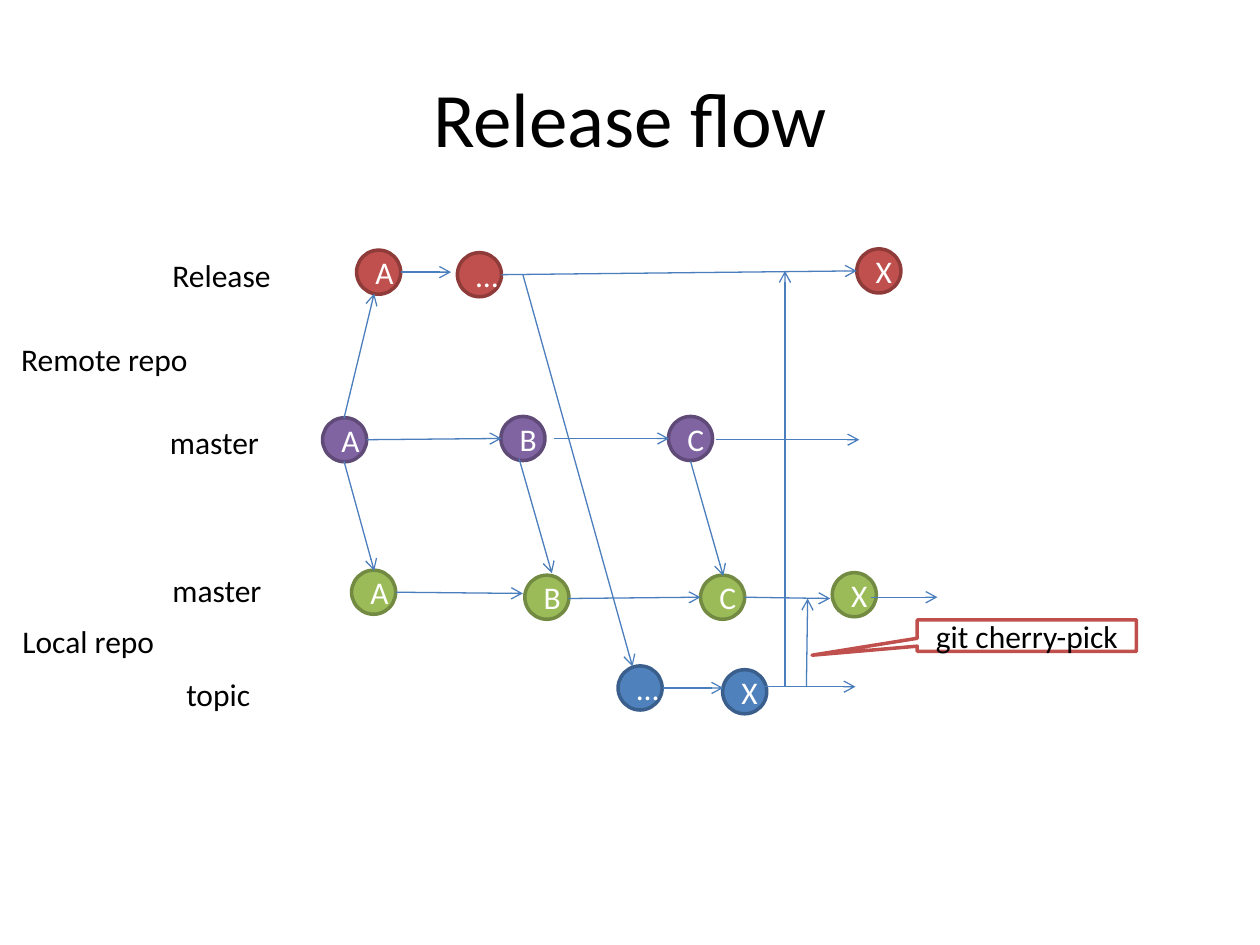
import pptx
import pptx.util
import pptx.dml.color
import pptx.enum.shapes
import pptx.enum.text
import pptx.oxml
import pptx.oxml.ns

# The slide is a grid of 100 columns by 75 rows; all lengths count grid cells
COLUMNS, ROWS = 100, 75
CELL = pptx.util.Inches(0.1)
COMMIT_SIZE = 3.5
FONT = "Calibri"

COLORS = {
    "text": "000000", "commit_text": "FFFFFF", "paper": "FFFFFF",
    "arrow": "4B7EBC",
    "release": "C0504D", "release_edge": "8E3B39",
    "remote": "8064A2", "remote_edge": "5F4A78",
    "local": "9BBB59", "local_edge": "738A42",
    "topic": "4F81BD", "topic_edge": "3A5F8C",
}

# Branch -> commit -> (text, centre column, centre row)
BRANCHES = {
    "release": [("A", 30.05, 21.6), ("…", 38.05, 21.8), ("X", 69.75, 21.5)],
    "remote": [("A", 27.35, 34.9), ("B", 41.5, 34.8), ("C", 54.8, 34.8)],
    "local": [("A", 29.65, 47), ("B", 43.4, 47.4), ("C", 57.35, 47.4),
              ("X", 67.8, 47.2)],
    "topic": [("…", 50.8, 54.6), ("X", 59.1, 54.9)],
}

# Text, left column, top row, width
LABELS = [
    ("Release", 12.7, 19.8, 9.9),
    ("Remote repo", 0.7, 26.5, 15.4),
    ("master", 12.5, 33.1, 9.2),
    ("master", 12.7, 44.8, 9.2),
    ("Local repo", 0.8, 48.9, 12.6),
    ("topic", 13.8, 53.1, 7.1),
]

# Start and end points, grouped by what the arrows show
ARROWS = [
    # Release history
    ((31.8, 21.6), (35.8, 21.6)), ((39.8, 21.8), (68, 21.5)),
    # Remote master history
    ((29.1, 34.9), (39.8, 34.8)), ((44, 34.8), (53.1, 34.8)),
    ((56.8, 34.9), (68.2, 34.9)),
    # Local master history
    ((31.4, 47), (41.5, 47.1)), ((45.1, 47.5), (55.6, 47.4)),
    ((59.1, 47.4), (65.9, 47.5)), ((69.1, 47.4), (74.4, 47.4)),
    # Topic history
    ((52.6, 54.6), (57.4, 54.6)), ((60.1, 54.5), (67.9, 54.5)),
    # Remote master to release and to local master
    ((27.3, 33.2), (29.7, 23.3)), ((27.3, 36.6), (29.7, 45.3)),
    ((41.2, 36.4), (43.8, 45.5)), ((54.8, 36.6), (57.4, 45.7)),
    # Release to topic, then topic back to release and local master
    ((41.5, 21.8), (50.2, 52.9)), ((62.3, 54.5), (62.3, 21.5)),
    ((64, 54.5), (64.1, 47.5)),
]


def cells(*counts):
    return [round(count * CELL) for count in counts]


def color(name):
    return pptx.dml.color.RGBColor.from_string(COLORS[name])


def write(frame, text, ink="text", size=18, centred=True):
    frame.text = text
    paragraph = frame.paragraphs[0]
    paragraph.font.name = FONT
    paragraph.font.size = pptx.util.Pt(size)
    paragraph.font.color.rgb = color(ink)
    if centred:
        paragraph.alignment = pptx.enum.text.PP_ALIGN.CENTER
        frame.vertical_anchor = pptx.enum.text.MSO_ANCHOR.MIDDLE


def add_title(slide, text):
    title = slide.shapes.title
    title.left, title.top, title.width, title.height = cells(5, 3, 90, 12.5)
    write(title.text_frame, text, size=44)


def add_label(slide, text, left, top, width):
    label = slide.shapes.add_textbox(*cells(left, top, width, 4))
    label.text_frame.word_wrap = False
    label.text_frame.auto_size = pptx.enum.text.MSO_AUTO_SIZE.SHAPE_TO_FIT_TEXT
    write(label.text_frame, text, centred=False)


def add_outlined(slide, kind, box, text, fill, edge, ink):
    outlined = slide.shapes.add_shape(kind, *cells(*box))
    outlined.shadow.inherit = False
    outlined.fill.solid()
    outlined.fill.fore_color.rgb = color(fill)
    outlined.line.color.rgb = color(edge)
    outlined.line.width = pptx.util.Pt(2)
    write(outlined.text_frame, text, ink)
    return outlined


def add_commit(slide, branch, text, column, row):
    half = COMMIT_SIZE / 2
    box = (column - half, row - half, COMMIT_SIZE, COMMIT_SIZE)
    add_outlined(slide, pptx.enum.shapes.MSO_SHAPE.OVAL, box, text,
                 branch, branch + "_edge", "commit_text")


def add_arrow(slide, start, end):
    arrow = slide.shapes.add_connector(
        pptx.enum.shapes.MSO_CONNECTOR.STRAIGHT, *cells(*start, *end))
    arrow.line.color.rgb = color("arrow")
    arrow.line.width = pptx.util.Pt(0.75)
    # Open arrowhead, no shadow
    head = pptx.oxml.parse_xml(
        f'<a:tailEnd {pptx.oxml.ns.nsdecls("a")} type="arrow"/>')
    arrow.line._get_or_add_ln().append(head)
    arrow._element.spPr.append(
        pptx.oxml.parse_xml(f'<a:effectLst {pptx.oxml.ns.nsdecls("a")}/>'))


def add_callout(slide, text, box, pointer):
    callout = add_outlined(
        slide, pptx.enum.shapes.MSO_SHAPE.RECTANGULAR_CALLOUT, box, text,
        "paper", "release", "text")
    callout.adjustments[0], callout.adjustments[1] = pointer


def main():
    deck = pptx.Presentation()
    deck.slide_width, deck.slide_height = cells(COLUMNS, ROWS)
    slide = deck.slides.add_slide(deck.slide_layouts.get_by_name("Title Only"))

    add_title(slide, "Release flow")
    for label in LABELS:
        add_label(slide, *label)
    for branch, commits in BRANCHES.items():
        for commit in commits:
            add_commit(slide, branch, *commit)
    for start, end in ARROWS:
        add_arrow(slide, start, end)
    add_callout(slide, "git cherry-pick", (72.8, 49.2, 17.4, 2.5), (-0.98, 0.62))

    deck.save("out.pptx")


if __name__ == "__main__":
    main()
